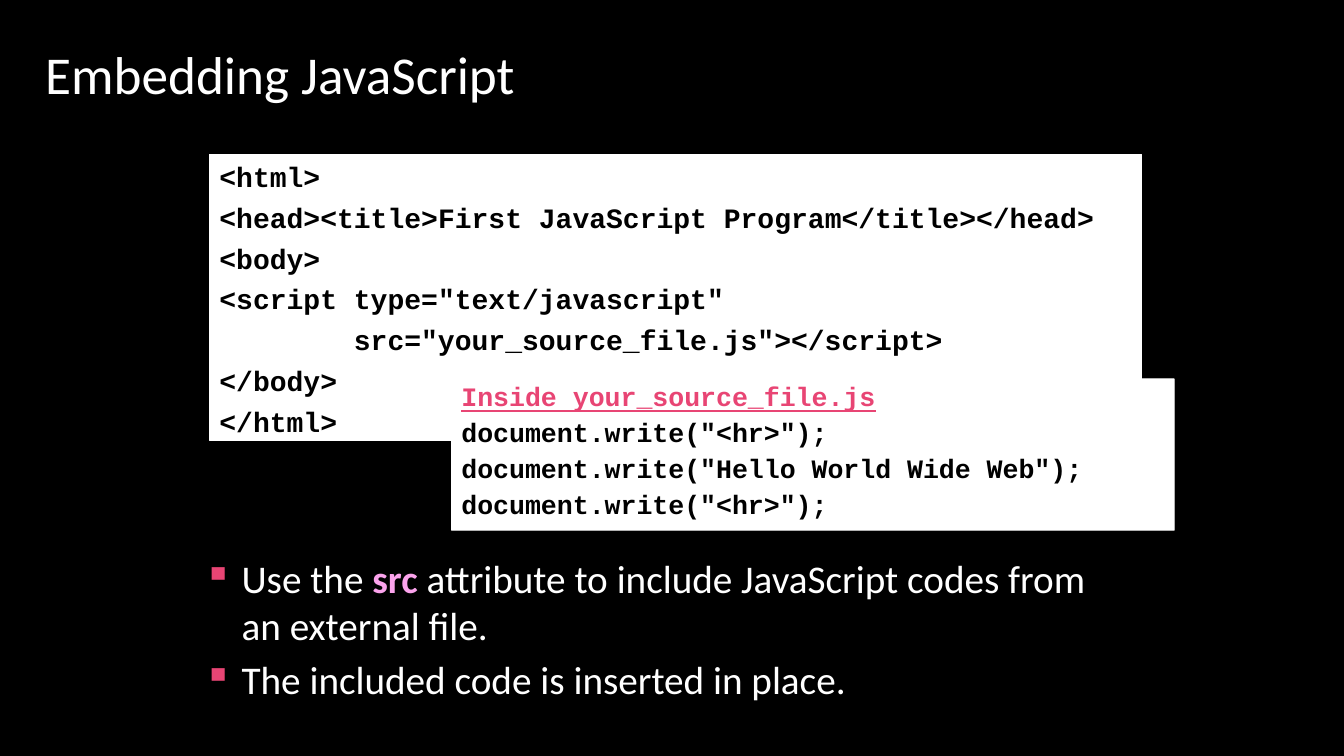
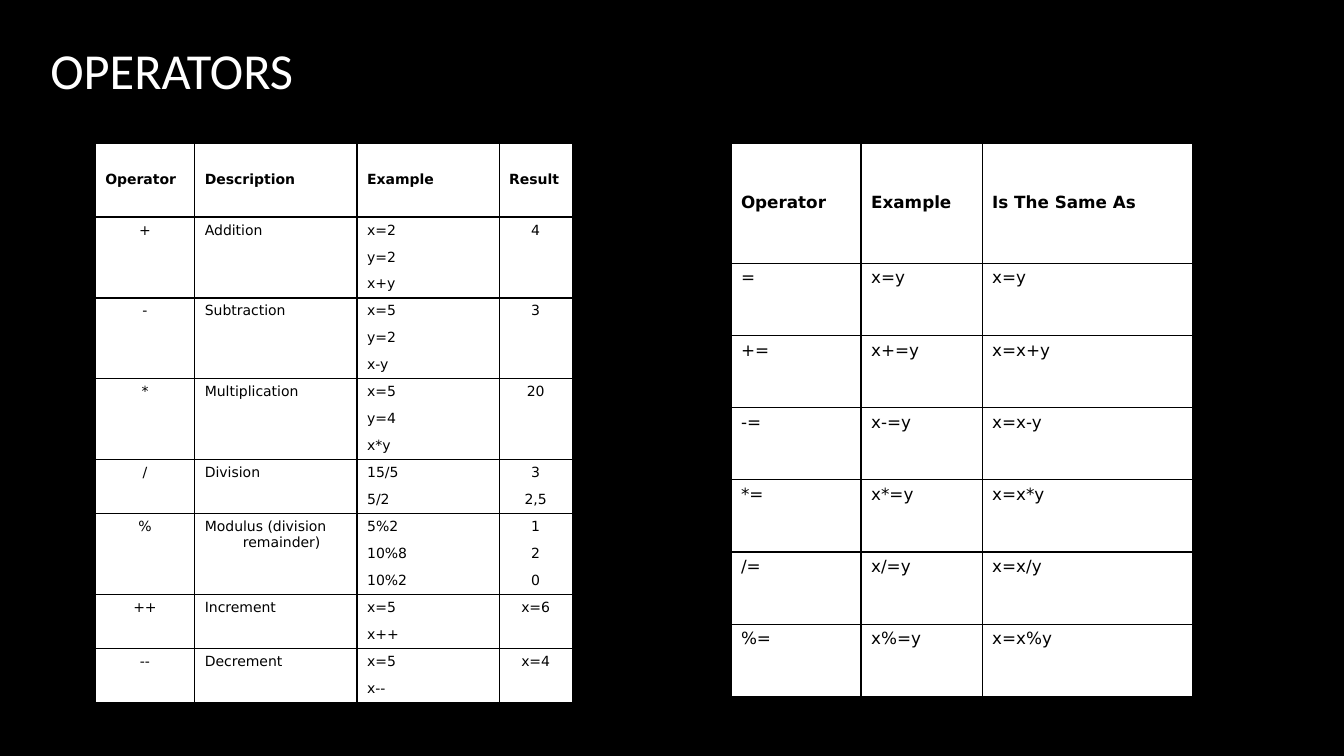
from pptx import Presentation
from pptx.dml.color import RGBColor
from pptx.enum.shapes import MSO_SHAPE as Preset
from pptx.enum.text import MSO_ANCHOR as Anchor, PP_ALIGN as Align
from pptx.oxml import parse_xml
from pptx.oxml.ns import nsdecls
from pptx.util import Cm, Pt

COLORS = {
    "background": "000000",
    "light": "FFFFFF",
    "dark": "000000",
    "accent": "E84574",
    "keyword": "FBA3EC",
}
PARAGRAPH_GAP = Pt(5.2)
HANGING = Cm(0.96)
BORDER_WIDTH = Pt(1)
TITLE_FONT = {"name": "Calibri", "color": "light"}
BODY_FONT = {"name": "Calibri", "size": Pt(28), "color": "light"}
CODE_FONT = {"name": "Courier New", "size": Pt(20), "bold": True, "color": "dark"}
TABLE_FONT = {"name": "DejaVu Sans", "color": "dark"}

SOURCE_LINES = [
    "<html>",
    "<head><title>First JavaScript Program</title></head>",
    "<body>",
    '<script type="text/javascript"',
    'src="your_source_file.js"></script>',
    "</body>",
    "</html>",
]
SOURCE_ATTRIBUTE_LINE = 4
SCRIPT_LINES = [
    "Inside your_source_file.js",
    'document.write("<hr>");',
    'document.write("Hello World Wide Web");',
    'document.write("<hr>");',
]
BULLETS = [
    [
        ("Use the ", {}),
        ("src", {"bold": True, "color": "keyword"}),
        (" attribute to include JavaScript codes from an external file.", {}),
    ],
    [("The included code is inserted in place.", {})],
]
ARITHMETIC = [
    [["Operator"], ["Description"], ["Example"], ["Result"]],
    [["+"], ["Addition"], ["x=2", "y=2", "x+y"], ["4"]],
    [["-"], ["Subtraction"], ["x=5", "y=2", "x-y"], ["3"]],
    [["*"], ["Multiplication"], ["x=5", "y=4", "x*y"], ["20"]],
    [["/"], ["Division"], ["15/5", "5/2"], ["3", "2,5"]],
    [["%"], ["Modulus (division remainder)"], ["5%2", "10%8", "10%2"], ["1", "2", "0"]],
    [["++"], ["Increment"], ["x=5", "x++"], ["x=6"]],
    [["--"], ["Decrement"], ["x=5", "x--"], ["x=4"]],
]
ASSIGNMENT = [[["Operator"], ["Example"], ["Is The Same As"]], [["="], ["x=y"], ["x=y"]]] + [
    [[f"{sign}="], [f"x{sign}=y"], [f"x=x{sign}y"]] for sign in "+-*/%"
]


def rgb(name):
    return RGBColor.from_string(COLORS[name])


def apply_format(target, values):
    for name, value in values.items():
        if name == "color":
            target.color.rgb = rgb(value)
        else:
            setattr(target, name, value)


def add_run(paragraph, text, font):
    run = paragraph.add_run()
    run.text = text
    apply_format(run.font, font)


def set_indent(paragraph, left, first_line):
    properties = paragraph._p.get_or_add_pPr()
    properties.set("marL", str(int(left)))
    properties.set("indent", str(int(first_line)))


def set_bullet(paragraph):
    properties = paragraph._p.get_or_add_pPr()
    namespace = nsdecls("a")
    properties.append(parse_xml(
        f'<a:buClr {namespace}><a:srgbClr val="{COLORS["accent"]}"/></a:buClr>'))
    properties.append(parse_xml(f'<a:buChar {namespace} char="▪"/>'))


def fill_paragraphs(frame, lines, font, layout):
    frame.word_wrap = True
    paragraphs = []
    for index, pieces in enumerate(lines):
        paragraph = frame.add_paragraph() if index else frame.paragraphs[0]
        apply_format(paragraph, layout)
        for text, changes in pieces:
            add_run(paragraph, text, {**font, **changes})
        paragraphs.append(paragraph)
    return paragraphs


def add_slide(presentation, title, box, size):
    slide = presentation.slides.add_slide(presentation.slide_layouts[6])
    slide.background.fill.solid()
    slide.background.fill.fore_color.rgb = rgb("background")
    frame = slide.shapes.add_textbox(*map(Cm, box)).text_frame
    frame.vertical_anchor = Anchor.MIDDLE
    fill_paragraphs(frame, [[(title, {})]], {**TITLE_FONT, "size": Pt(size)}, {})
    return slide


def add_code_box(slide, preset, box, lines, font, layout):
    shape = slide.shapes.add_shape(preset, *map(Cm, box))
    shape.shadow.inherit = False
    shape.fill.solid()
    shape.fill.fore_color.rgb = rgb("light")
    shape.line.color.rgb = rgb("light")
    shape.line.width = Pt(0.75)
    shape.text_frame.vertical_anchor = Anchor.TOP
    layout = {"alignment": Align.LEFT, "space_before": PARAGRAPH_GAP, **layout}
    return shape, fill_paragraphs(shape.text_frame, lines, font, layout)


def add_bullets(slide, box, items):
    frame = slide.shapes.add_textbox(*map(Cm, box)).text_frame
    for paragraph in fill_paragraphs(frame, items, BODY_FONT, {"space_before": PARAGRAPH_GAP}):
        set_indent(paragraph, HANGING, -HANGING)
        set_bullet(paragraph)


def style_cell(cell, sides):
    cell.fill.solid()
    cell.fill.fore_color.rgb = rgb("light")
    properties = cell._tc.get_or_add_tcPr()
    solid = f'<a:solidFill><a:srgbClr val="{COLORS["dark"]}"/></a:solidFill>'
    for position, side in enumerate("LRTB"):
        paint = solid if side in sides else "<a:noFill/>"
        properties.insert(position, parse_xml(
            f'<a:ln{side} {nsdecls("a")} w="{int(BORDER_WIDTH)}">{paint}</a:ln{side}>'))


def write_cell(cell, text, font, alignment):
    paragraph = cell.text_frame.paragraphs[0]
    paragraph.alignment = alignment
    set_indent(paragraph, HANGING, -HANGING)
    add_run(paragraph, text, font)


def add_grouped_table(slide, corner, widths, heights, groups, size, centered=()):
    spans = [max(map(len, group)) for group in groups]
    header_height, row_height = heights
    row_heights = [header_height] + [row_height] * (sum(spans) - 1)
    table = slide.shapes.add_table(
        len(row_heights), len(widths), *map(Cm, (*corner, sum(widths), sum(row_heights)))).table
    table.first_row = table.horz_banding = False
    for column, width in zip(table.columns, widths):
        column.width = Cm(width)
    for row, height in zip(table.rows, row_heights):
        row.height = Cm(height)

    top = 0
    for number, (group, span) in enumerate(zip(groups, spans)):
        header = number == 0
        font = {**TABLE_FONT, "size": Pt(size), "bold": header}
        for column, values in enumerate(group):
            merged = len(values) < span
            alignment = Align.CENTER if column in centered and not header else Align.LEFT
            for offset in range(span):
                cell = table.cell(top + offset, column)
                sides = "LR" + "T" * (offset == 0) + "B" * (merged or offset == span - 1)
                style_cell(cell, sides)
                cell.vertical_anchor = Anchor.MIDDLE if header else Anchor.TOP
                if offset < len(values):
                    write_cell(cell, values[offset], font, alignment)
            if merged:
                table.cell(top, column).merge(table.cell(top + span - 1, column))
        top += span


def build_embedding(presentation):
    slide = add_slide(presentation, "Embedding JavaScript", (0.89, 0.69, 22.86, 2.29), 38)
    add_bullets(slide, (4.88, 13.84, 23.5, 4.24), BULLETS)
    source_lines = [[(line, {})] for line in SOURCE_LINES]
    _, paragraphs = add_code_box(
        slide, Preset.RECTANGLE, (5.28, 3.89, 23.5, 7.21), source_lines, CODE_FONT, {})
    set_indent(paragraphs[SOURCE_ATTRIBUTE_LINE], Cm(3.39), 0)
    heading = {"color": "accent", "underline": True}
    script_lines = [[(line, {} if index else heading)] for index, line in enumerate(SCRIPT_LINES)]
    callout, _ = add_code_box(
        slide, Preset.RECTANGULAR_CALLOUT, (11.38, 9.55, 18.21, 3.81), script_lines,
        {**CODE_FONT, "size": Pt(19)}, {"line_spacing": 0.9})
    callout.adjustments[0] = -0.35
    callout.adjustments[1] = -0.61


def build_operators(presentation):
    slide = add_slide(presentation, "OPERATORS", (1.02, -0.28, 28.14, 4.04), 36)
    add_grouped_table(slide, (2.4, 3.61), (2.51, 4.09, 3.58, 1.84), (1.86, 0.66),
                      ARITHMETIC, 10, centered=(0, 3))
    add_grouped_table(slide, (18.42, 3.61), (3.28, 3.05, 5.31), (3.02, 1.82),
                      ASSIGNMENT, 12)


def main():
    presentation = Presentation()
    presentation.slide_width = Cm(33.87)
    presentation.slide_height = Cm(19.05)
    build_embedding(presentation)
    build_operators(presentation)
    presentation.save("out.pptx")


if __name__ == "__main__":
    main()
